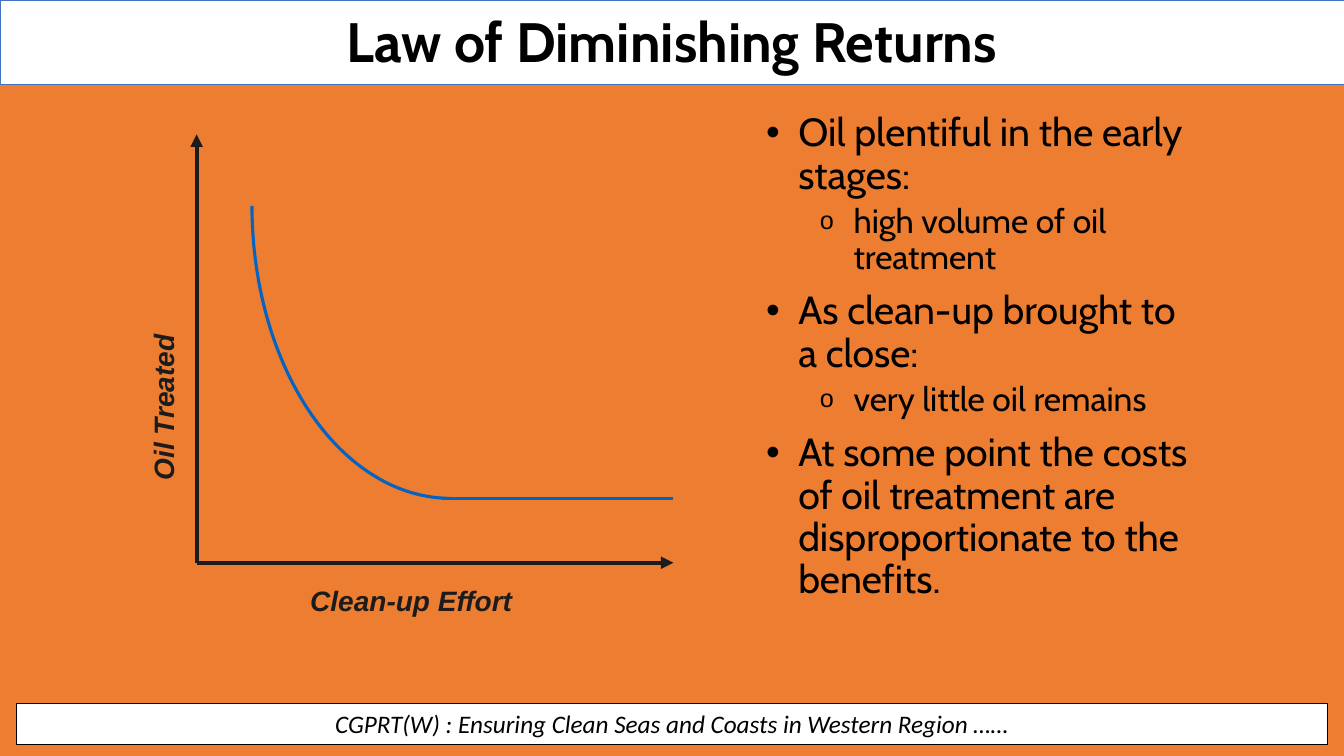
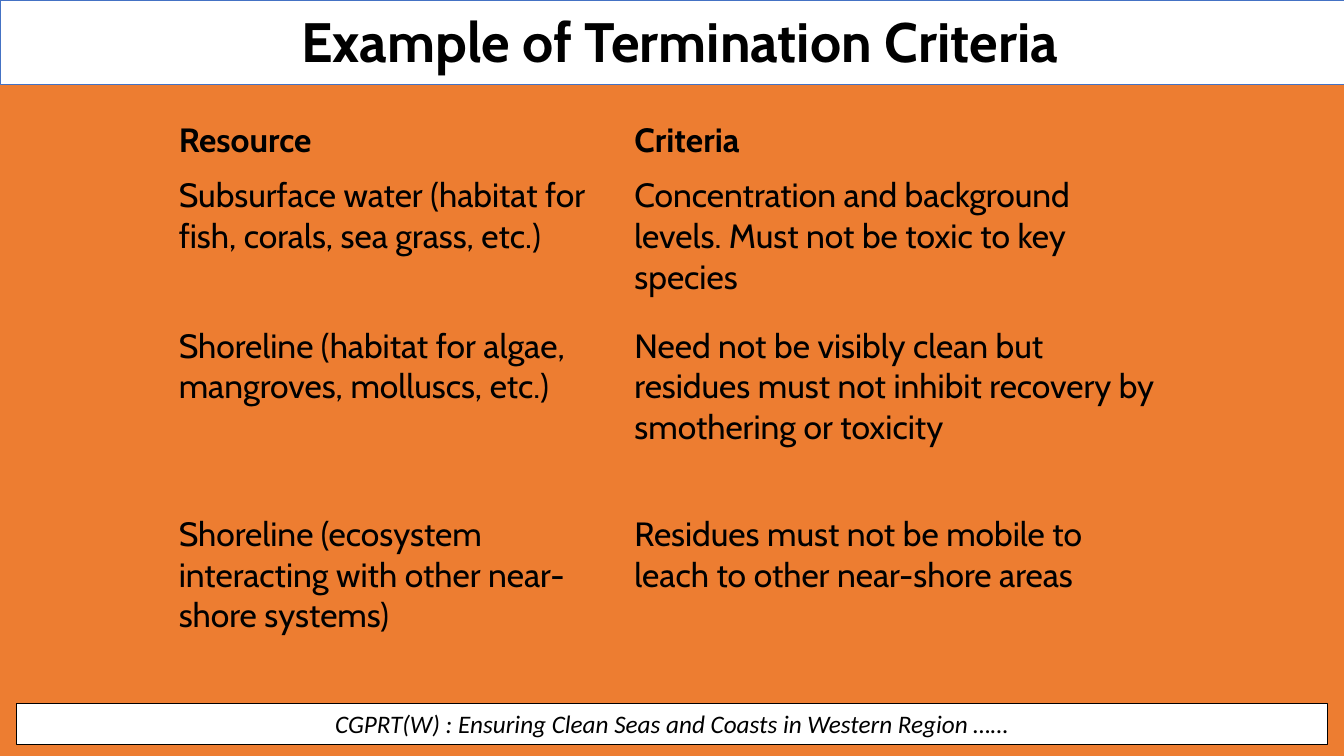
import math

from lxml import etree
from pptx import Presentation
from pptx.dml.color import RGBColor
from pptx.enum.shapes import MSO_CONNECTOR, MSO_SHAPE
from pptx.enum.text import MSO_ANCHOR, MSO_AUTO_SIZE, PP_ALIGN
from pptx.oxml.ns import qn
from pptx.util import Pt

RECTANGLE = MSO_SHAPE.RECTANGLE
STRAIGHT = MSO_CONNECTOR.STRAIGHT
CENTER = PP_ALIGN.CENTER
MIDDLE = MSO_ANCHOR.MIDDLE
NO_AUTOFIT = MSO_AUTO_SIZE.NONE

SLIDE_WIDTH, SLIDE_HEIGHT = 960, 540
TITLE_AND_CONTENT, TITLE_ONLY = 1, 5
PLAIN_TABLE_STYLE = "{2D5ABB26-0587-4C30-8999-92F81FD0307C}"
COLORS = {
    "background": "ED7D31",
    "panel": "FFFFFF",
    "band_edge": "4472C4",
    "text": "000000",
    "axis": "1C1C1C",
    "curve": "0563C1",
}
FOOTER = "CGPRT(W) : Ensuring Clean Seas and Coasts in Western Region ……"

# Per list level: bullet, bullet size %, left margin, hanging indent, text size, space before
LEVELS = [("•", 100, 23, 23, 28, 10), ("o", 75, 62.5, 24, 24, 5)]
POINTS = [
    (0, "Oil plentiful in the early stages:"),
    (1, "high volume of oil treatment"),
    (0, "As clean-up brought to a close:"),
    (1, "very little oil remains"),
    (0, "At some point the costs of oil treatment are disproportionate to the benefits."),
]
CRITERIA = [
    ("Resource", "Criteria"),
    ("Subsurface water (habitat for fish, corals, sea grass, etc.)",
     "Concentration and background levels. Must not be toxic to key species"),
    ("Shoreline (habitat for algae, mangroves, molluscs, etc.)",
     "Need not be visibly clean but residues must not inhibit recovery by smothering or toxicity"),
    ("Shoreline (ecosystem interacting with other near-shore systems)",
     "Residues must not be mobile to leach to other near-shore areas"),
]


def color(name):
    return RGBColor.from_string(COLORS[name])


def format_runs(paragraph, size, font="Cabin", ink="text", bold=False, italic=False):
    for run in paragraph.runs:
        run.font.name = font
        run.font.size = Pt(size)
        run.font.bold = bold
        run.font.italic = italic
        run.font.color.rgb = color(ink)


def place(shape, left, top, width, height):
    shape.left, shape.top = Pt(left), Pt(top)
    shape.width, shape.height = Pt(width), Pt(height)


def add_panel(slide, left, top, width, height, edge, edge_width):
    panel = slide.shapes.add_shape(RECTANGLE, Pt(left), Pt(top), Pt(width), Pt(height))
    panel.shadow.inherit = False
    panel.fill.solid()
    panel.fill.fore_color.rgb = color("panel")
    panel.line.color.rgb = color(edge)
    panel.line.width = Pt(edge_width)
    return panel


def add_footer(slide):
    footer = add_panel(slide, 11.5, 502.5, 937, 29, "text", 0.75)
    footer.text_frame.text = FOOTER
    footer.text_frame.vertical_anchor = MIDDLE
    paragraph = footer.text_frame.paragraphs[0]
    paragraph.alignment = CENTER
    format_runs(paragraph, 18, "Calibri", italic=True)


def add_framed_slide(prs, layout, heading, title_left, title_width):
    """Add a slide with the white title band, its title and the footer."""
    slide = prs.slides.add_slide(prs.slide_layouts[layout])
    band = add_panel(slide, 0, 0, SLIDE_WIDTH, 60.5, "band_edge", 0.5)
    slide.shapes._spTree.insert(2, band._element)  # behind the title
    title = slide.shapes.title
    place(title, title_left, 10, title_width, 44)
    title.text_frame.text = heading
    title.text_frame.auto_size = NO_AUTOFIT
    title.text_frame.vertical_anchor = MIDDLE
    paragraph = title.text_frame.paragraphs[0]
    paragraph.alignment = CENTER
    paragraph.line_spacing = 0.9
    format_runs(paragraph, 39.6, bold=True)
    add_footer(slide)
    return slide


def set_bullet(paragraph, char, percent, margin, hanging):
    properties = paragraph._p.get_or_add_pPr()
    properties.set("marL", str(Pt(margin)))
    properties.set("indent", str(-Pt(hanging)))
    for tag, key, value in [("a:buSzPct", "val", str(percent * 1000)),
                            ("a:buFont", "typeface", "Arial"),
                            ("a:buChar", "char", char)]:
        etree.SubElement(properties, qn(tag)).set(key, value)


def fill_list(body, points):
    frame = body.text_frame
    frame.auto_size = NO_AUTOFIT
    for index, (level, text) in enumerate(points):
        char, percent, margin, hanging, size, space = LEVELS[level]
        paragraph = frame.add_paragraph() if index else frame.paragraphs[0]
        paragraph.text = text
        paragraph.level = level
        set_bullet(paragraph, char, percent, margin, hanging)
        paragraph.line_spacing = 0.9
        paragraph.space_before = Pt(space if index else 0)
        format_runs(paragraph, size)


def add_line(slide, start, end, ink, width, arrow=False):
    line = slide.shapes.add_connector(STRAIGHT, *map(Pt, start + end))
    line.line.color.rgb = color(ink)
    line.line.width = Pt(width)
    if arrow:
        etree.SubElement(line.line._get_or_add_ln(), qn("a:tailEnd")).set("type", "triangle")
    etree.SubElement(line._element.spPr, qn("a:effectLst"))


def add_axis_label(slide, text, left, top, width, rotation=0):
    label = slide.shapes.add_textbox(Pt(left), Pt(top), Pt(width), Pt(31.5))
    label.rotation = rotation
    label.text_frame.text = text
    label.text_frame.word_wrap = True
    format_runs(label.text_frame.paragraphs[0], 20, "Arial", "axis", bold=True, italic=True)


def add_falling_curve(slide, left, top, width, height, steps=60):
    """Draw the lower left quarter of an ellipse, from top left to bottom right."""
    angles = [math.pi / 2 * step / steps for step in range(steps + 1)]
    points = [(Pt(left + width * (1 - math.cos(a))), Pt(top + height * math.sin(a)))
              for a in angles]
    builder = slide.shapes.build_freeform(*points[0])
    builder.add_line_segments(points[1:], close=False)
    curve = builder.convert_to_shape()
    curve.shadow.inherit = False
    curve.fill.background()
    curve.line.color.rgb = color("curve")
    curve.line.width = Pt(2.25)


def add_returns_graph(slide):
    origin, right = (140.5, 402), 481
    add_line(slide, origin, (origin[0], 96), "axis", 3, arrow=True)
    add_line(slide, origin, (right, origin[1]), "axis", 3, arrow=True)
    add_axis_label(slide, "Clean-up Effort", 214.5, 413.5, 170)
    add_axis_label(slide, "Oil Treated", 29, 247, 175, rotation=270)
    add_falling_curve(slide, 180, 147, 142, 209)
    add_line(slide, (316, 356), (right, 356), "curve", 2.25)


def add_plain_table(slide, rows, left, top, widths, heights):
    """Add a table without grid or fill; its first row is bold."""
    table = slide.shapes.add_table(len(rows), len(widths), Pt(left), Pt(top),
                                   Pt(sum(widths)), Pt(sum(heights))).table
    table.first_row = table.horz_banding = False
    table._tbl.tblPr.find(qn("a:tableStyleId")).text = PLAIN_TABLE_STYLE
    for column, width in zip(table.columns, widths):
        column.width = Pt(width)
    for row_index, (texts, height) in enumerate(zip(rows, heights)):
        table.rows[row_index].height = Pt(height)
        for column_index, text in enumerate(texts):
            cell = table.cell(row_index, column_index)
            cell.fill.background()
            cell.text_frame.text = text
            format_runs(cell.text_frame.paragraphs[0], 24, bold=row_index == 0)


def main():
    prs = Presentation()
    prs.slide_width, prs.slide_height = Pt(SLIDE_WIDTH), Pt(SLIDE_HEIGHT)
    background = prs.slide_master.background.fill
    background.solid()
    background.fore_color.rgb = color("background")

    returns = add_framed_slide(prs, TITLE_AND_CONTENT, "Law of Diminishing Returns", 156, 648)
    body = returns.placeholders[1]
    place(body, 540, 77, 318, 388)
    fill_list(body, POINTS)
    add_returns_graph(returns)

    criteria = add_framed_slide(prs, TITLE_ONLY, "Example of Termination Criteria", 133, 705)
    add_plain_table(criteria, CRITERIA, 120.5, 82, (325.5, 392.5), (39.5, 107.5, 134.5, 100))

    prs.save("out.pptx")


if __name__ == "__main__":
    main()
